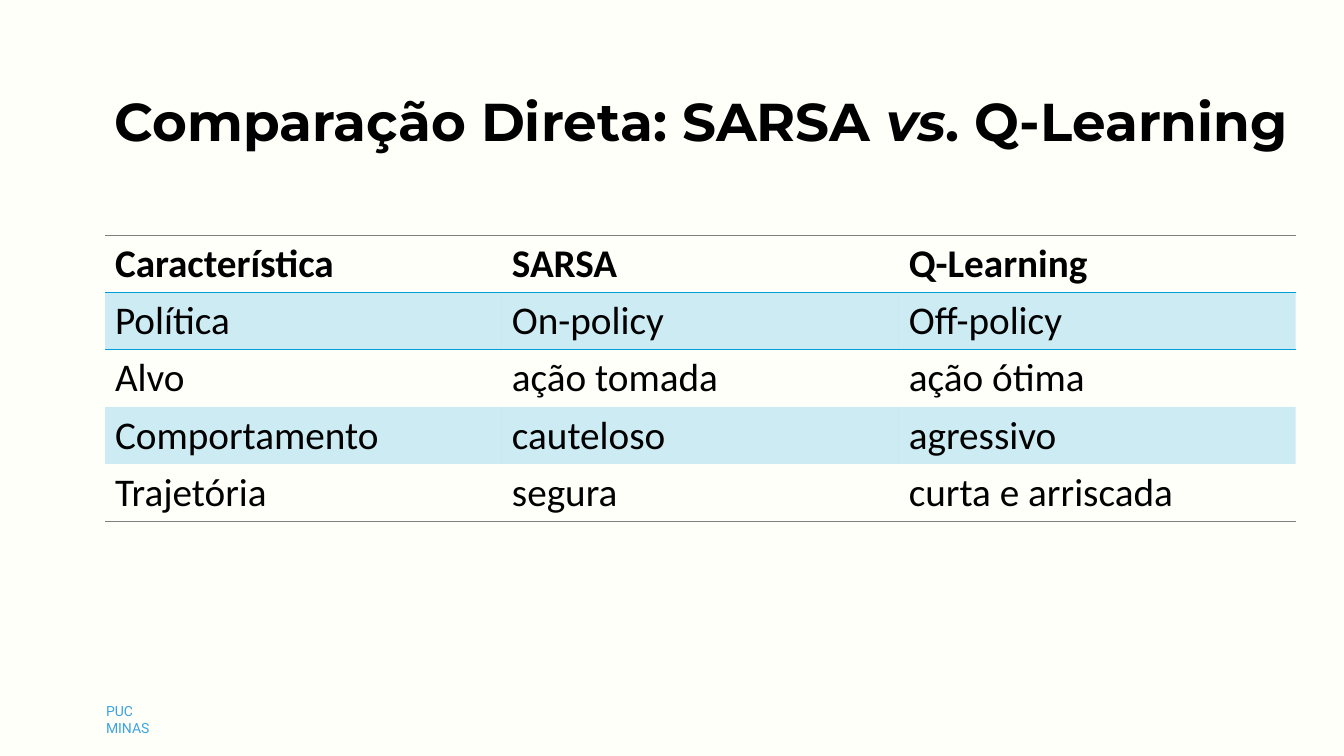
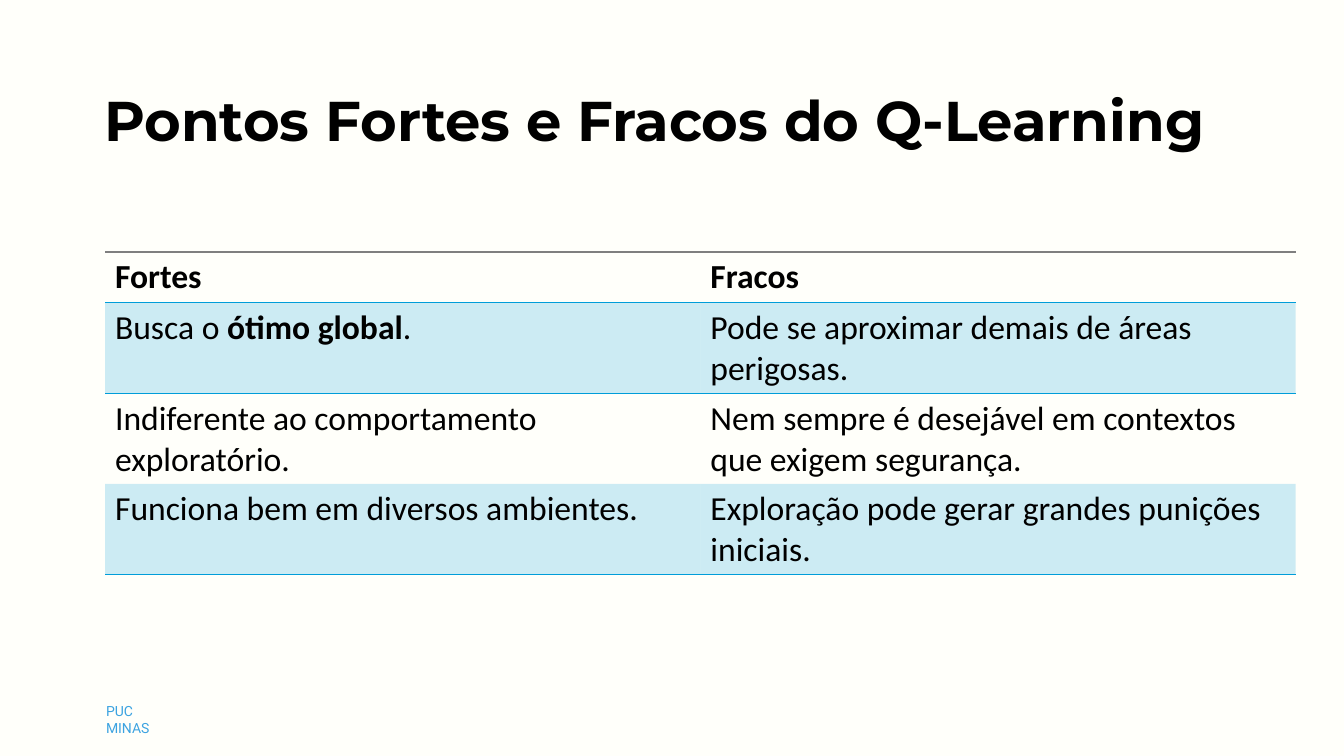
import pptx
import pptx.dml.color
import pptx.enum.text
import pptx.oxml
import pptx.oxml.ns
import pptx.util

COLUMNS, ROWS = 128, 72
INK, SKY, ACCENT, EDGE, PAPER = "000000", "3CA3E1", "009DD9", "7F7F7F", "FFFFFA"
PLAIN_TABLE = "{2D5ABB26-0587-4C30-8999-92F81FD0307C}"
MIDDLE = pptx.enum.text.MSO_ANCHOR.MIDDLE
TOP = pptx.enum.text.MSO_ANCHOR.TOP


def colour(value):
    return pptx.dml.color.RGBColor.from_string(value)


class Deck:
    title_font, body_font, footer_font = "Montserrat", "Calibri", "Roboto"

    def __init__(self):
        self.deck = pptx.Presentation()
        self.deck.slide_width = pptx.util.Inches(13.333)
        self.deck.slide_height = pptx.util.Inches(7.5)
        self.page = None

    def across(self, columns):
        return round(self.deck.slide_width * columns / COLUMNS)

    def down(self, rows):
        return round(self.deck.slide_height * rows / ROWS)

    def place(self, left, top, width, height):
        return self.across(left), self.down(top), self.across(width), self.down(height)

    def new_page(self):
        self.page = self.deck.slides.add_slide(self.deck.slide_layouts[6])
        fill = self.page.background.fill
        fill.solid()
        fill.fore_color.rgb = colour(PAPER)
        self.text("PUC MINAS", (10.1, 66.9, 6.3, 3.2), self.footer_font, 10, SKY, inset=0)

    def fill_paragraph(self, para, content, font, size, ink=INK, bold=False):
        para.font.name = font
        para.font.size = pptx.util.Pt(size)
        para.font.color.rgb = colour(ink)
        para.font.bold = bold
        pieces = [(content, "")] if isinstance(content, str) else content
        for wording, emphasis in pieces:
            span = para.add_run()
            span.text = wording
            if emphasis == "bold":
                span.font.bold = True
            elif emphasis == "italic":
                span.font.italic = True

    def text(self, content, area, font, size, ink=INK, bold=False, inset=None):
        frame = self.page.shapes.add_textbox(*self.place(*area)).text_frame
        frame.word_wrap = True
        if inset is not None:
            frame.margin_left = frame.margin_right = inset
            frame.margin_top = frame.margin_bottom = inset
        self.fill_paragraph(frame.paragraphs[0], content, font, size, ink, bold)

    def title(self, content, area, size):
        self.text(content, area, self.title_font, size, bold=True)

    def border(self, cell, side, ink):
        cell._tc.get_or_add_tcPr().append(pptx.oxml.parse_xml(
            f'<a:{side} {pptx.oxml.ns.nsdecls("a")} w="12700"><a:solidFill>'
            f'<a:srgbClr val="{ink}"/></a:solidFill></a:{side}>'))

    def tint(self, cell):
        cell.fill.solid()
        cell.fill.fore_color.rgb = colour(ACCENT)
        fill = cell._tc.tcPr.find(pptx.oxml.ns.qn("a:solidFill"))
        fill[0].append(pptx.oxml.parse_xml(
            f'<a:alpha {pptx.oxml.ns.nsdecls("a")} val="20000"/>'))

    def table(self, lines, top, heights, size, anchor, last_edge):
        area = self.place(10, top, 113.4, sum(heights))
        table = self.page.shapes.add_table(len(lines), len(lines[0]), *area).table
        table._tbl.tblPr.find(pptx.oxml.ns.qn("a:tableStyleId")).text = PLAIN_TABLE
        for row, height in zip(table.rows, heights):
            row.height = self.down(height)
        for index, line in enumerate(lines):
            for cell, content in zip(table.rows[index].cells, line):
                cell.vertical_anchor = anchor
                self.fill_paragraph(cell.text_frame.paragraphs[0], content,
                                    self.body_font, size, bold=index == 0)
                if index == 0:
                    self.border(cell, "lnT", EDGE)
                    self.border(cell, "lnB", ACCENT)
                elif index == 1:
                    self.border(cell, "lnT", ACCENT)
                if index == len(lines) - 1:
                    self.border(cell, "lnB", last_edge)
                if index % 2:
                    self.tint(cell)
                else:
                    cell.fill.background()

    def save(self):
        self.deck.save("out.pptx")


def main():
    deck = Deck()

    deck.new_page()
    deck.title([("Comparação Direta: SARSA ", ""), ("vs", "italic"), (". Q-Learning", "")],
               (10, 7.9, 114.4, 7.1), 38)
    deck.table([
        ["Característica", "SARSA", "Q-Learning"],
        ["Política", "On-policy", "Off-policy"],
        ["Alvo", "ação tomada", "ação ótima"],
        ["Comportamento", "cauteloso", "agressivo"],
        ["Trajetória", "segura", "curta e arriscada"],
    ], 22.4, [5.44] * 5, 28, MIDDLE, EDGE)

    deck.new_page()
    deck.title("Pontos Fortes e Fracos do Q-Learning", (9, 7.7, 111.5, 7.4), 40)
    deck.table([
        ["Fortes", "Fracos"],
        [[("Busca o ", ""), ("ótimo global", "bold"), (".", "")],
         "Pode se aproximar demais de áreas perigosas."],
        ["Indiferente ao comportamento exploratório.",
         "Nem sempre é desejável em contextos que exigem segurança."],
        ["Funciona bem em diversos ambientes.",
         "Exploração pode gerar grandes punições iniciais."],
    ], 24, [4.8] + [8.64] * 3, 24, TOP, ACCENT)

    deck.save()


if __name__ == "__main__":
    main()
